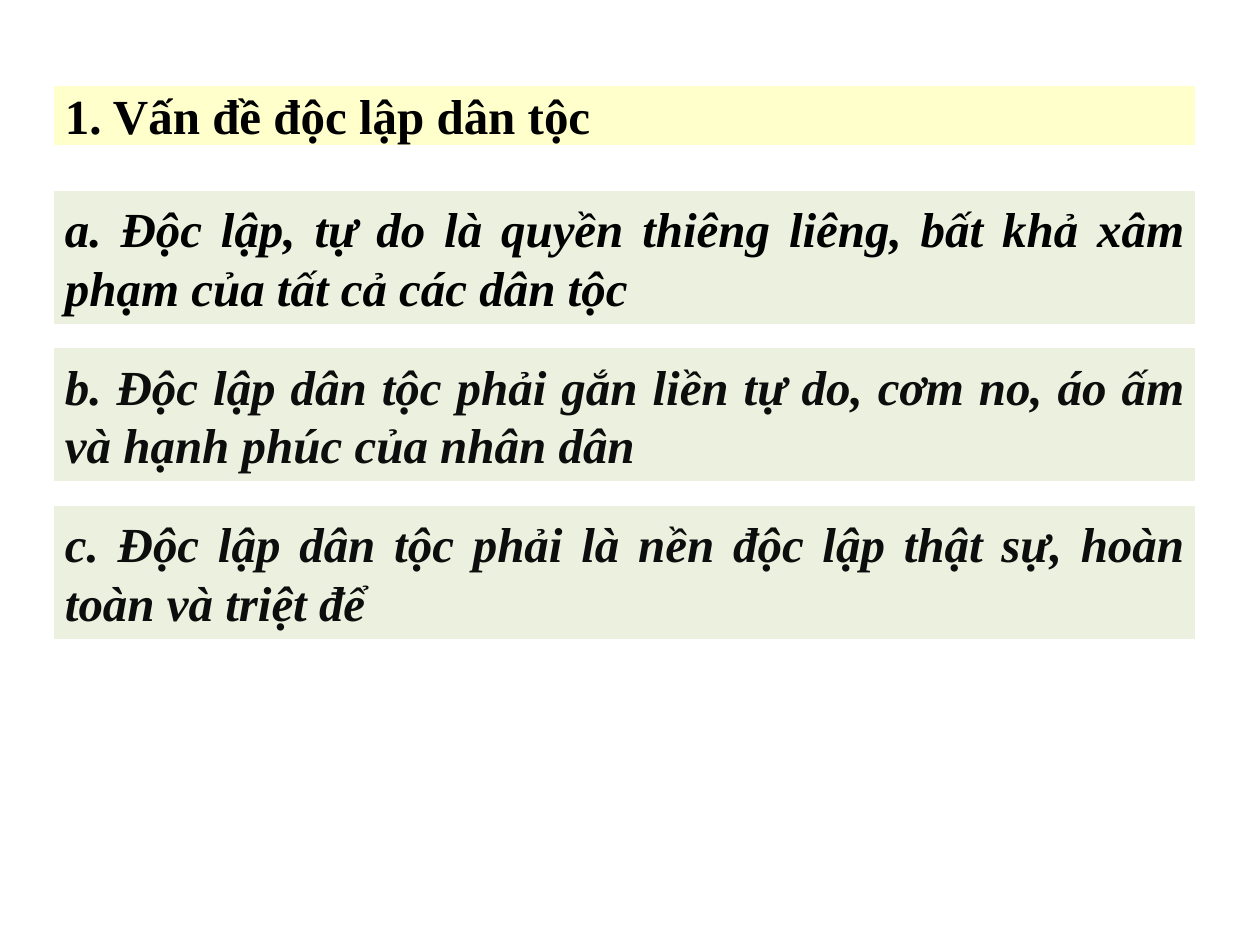
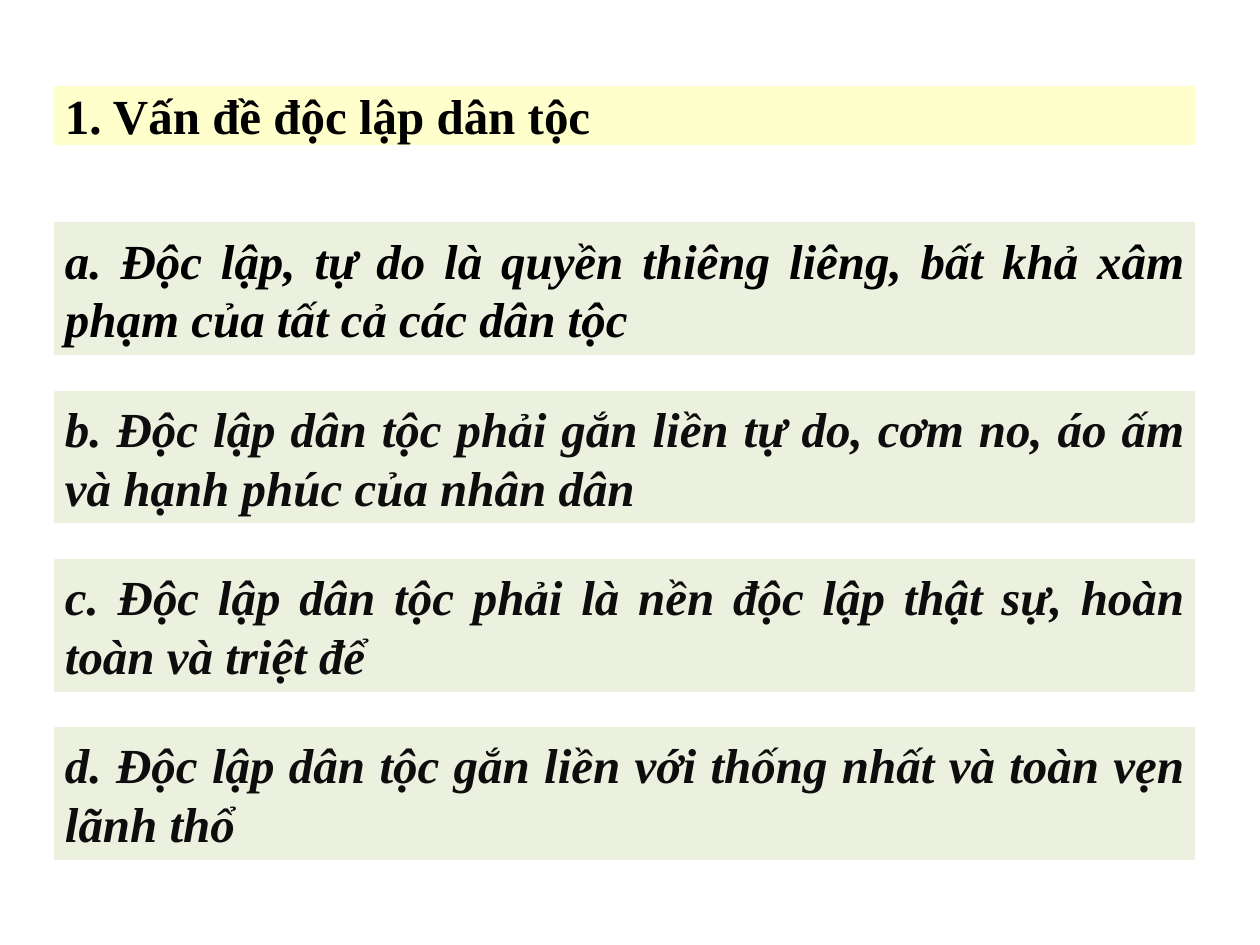
from pptx import Presentation
from pptx.dml.color import RGBColor
from pptx.enum.shapes import MSO_SHAPE
from pptx.enum.text import MSO_ANCHOR, PP_ALIGN
from pptx.util import Cm, Pt

WHITE = RGBColor(0xFF, 0xFF, 0xFF)
BLACK = RGBColor(0x00, 0x00, 0x00)
NEAR_BLACK = RGBColor(0x0D, 0x0D, 0x0D)
PALE_YELLOW = RGBColor(0xFF, 0xFF, 0xCC)
PALE_GREEN = RGBColor(0xEB, 0xF1, 0xDE)

FONT = "Times New Roman"
BAND_LEFT, BAND_WIDTH = Cm(1.06), Cm(23.07)
HEADING_TOP, HEADING_HEIGHT = Cm(1.69), Cm(1.27)
POINT_HEIGHT = Cm(2.75)

HEADING = "1. Vấn đề độc lập dân tộc"
POINTS = [
    ("a. Độc lập, tự do là quyền thiêng liêng, bất khả xâm phạm của tất cả các dân tộc", BLACK),
    ("b. Độc lập dân tộc phải gắn liền tự do, cơm no, áo ấm và hạnh phúc của nhân dân", NEAR_BLACK),
    ("c. Độc lập dân tộc phải là nền độc lập thật sự, hoàn toàn và triệt để", NEAR_BLACK),
    ("d. Độc lập dân tộc gắn liền với thống nhất và toàn vẹn lãnh thổ", NEAR_BLACK),
]


def add_band(slide, top, height, text, fill, color, italic=False):
    """Add a filled band of bold justified text across the slide."""
    shape = slide.shapes.add_shape(MSO_SHAPE.RECTANGLE, BAND_LEFT, top, BAND_WIDTH, height)
    shape.shadow.inherit = False
    shape.fill.solid()
    shape.fill.fore_color.rgb = fill
    shape.line.color.rgb = WHITE
    shape.line.width = Pt(2)
    frame = shape.text_frame
    frame.word_wrap = True
    frame.vertical_anchor = MSO_ANCHOR.MIDDLE
    paragraph = frame.paragraphs[0]
    paragraph.alignment = PP_ALIGN.JUSTIFY
    run = paragraph.add_run()
    run.text = text
    run.font.name = FONT
    run.font.size = Pt(28)
    run.font.bold = True
    run.font.italic = italic
    run.font.color.rgb = color


def add_points(slide, top, gap, points):
    """Stack the points downwards from the top with equal gaps."""
    for index, (text, color) in enumerate(points):
        point_top = top + index * (POINT_HEIGHT + gap)
        add_band(slide, point_top, POINT_HEIGHT, text, PALE_GREEN, color, italic=True)


def add_outline_slide(presentation, top, gap, points):
    """Add a slide with the heading band and its points."""
    slide = presentation.slides.add_slide(presentation.slide_layouts[6])
    add_band(slide, HEADING_TOP, HEADING_HEIGHT, HEADING, PALE_YELLOW, BLACK)
    add_points(slide, top, gap, points)


def main():
    """Build and save the presentation."""
    presentation = Presentation()
    presentation.slide_width = Cm(25.4)
    presentation.slide_height = Cm(19.05)
    add_outline_slide(presentation, Cm(3.81), Cm(0.43), POINTS[:3])
    add_outline_slide(presentation, Cm(4.45), Cm(0.64), POINTS)
    presentation.save("out.pptx")


if __name__ == "__main__":
    main()
